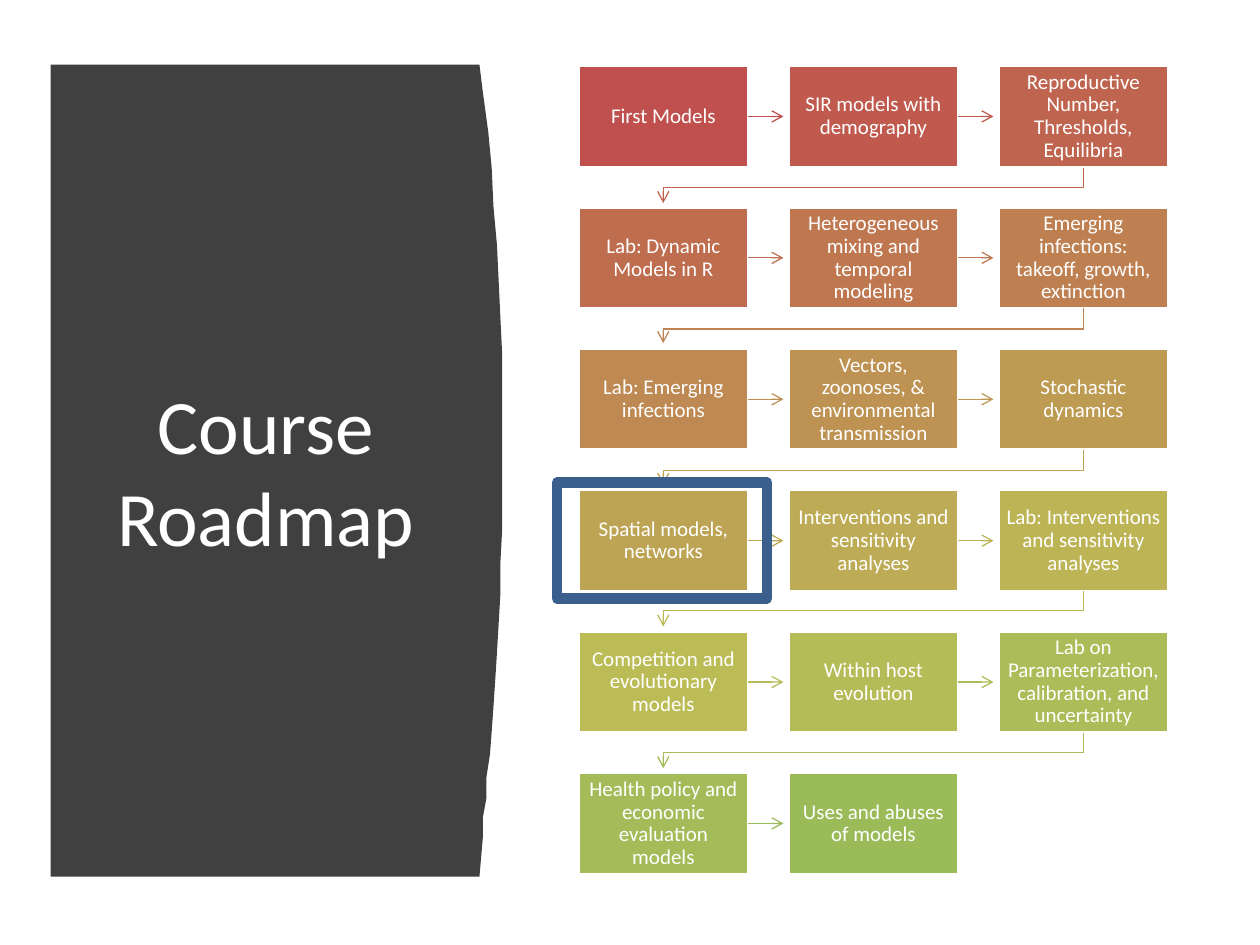
from colorsys import hls_to_rgb, rgb_to_hls

from lxml.etree import SubElement
from pptx import Presentation
from pptx.dml.color import RGBColor
from pptx.enum.shapes import MSO_CONNECTOR, MSO_SHAPE
from pptx.enum.text import MSO_ANCHOR, PP_ALIGN
from pptx.oxml.ns import qn
from pptx.util import Pt

COLORS = {
    "panel": "404040",
    "text": "FFFFFF",
    "first": "C0504D",
    "last": "9BBB59",
    "highlight": "3A5F8C",
}
FONT = "Calibri"
TOPICS = [
    "First Models",
    "SIR models with demography",
    "Reproductive Number, Thresholds, Equilibria",
    "Lab: Dynamic Models in R",
    "Heterogeneous mixing and temporal modeling",
    "Emerging infections: takeoff, growth, extinction",
    "Lab: Emerging infections",
    "Vectors, zoonoses, & environmental transmission",
    "Stochastic dynamics",
    "Spatial models, networks",
    "Interventions and sensitivity analyses",
    "Lab: Interventions and sensitivity analyses",
    "Competition and evolutionary models",
    "Within host evolution",
    "Lab on Parameterization, calibration, and uncertainty",
    "Health policy and economic evaluation models",
    "Uses and abuses of models",
]
COLUMNS = 3
GRID_LEFT, GRID_TOP = 330.5, 37.4
STEP_X, STEP_Y = 120, 80.8
BOX_WIDTH, BOX_HEIGHT = 97.2, 58.3
ARROW_LENGTH, ELBOW_DROP = 20, 11.4
PANEL_OUTLINE = [
    (28.8, 37.4), (274.3, 37.4), (276.5, 53.3), (278.6, 74.9), (280.8, 96.5),
    (282.2, 118.1), (283.7, 139.7), (285.1, 161.3), (286, 182.2),
    (286.7, 203), (287.2, 224), (287.4, 244), (287.4, 283.7), (286.9, 302.4),
    (286.5, 321), (285.8, 339.1), (285.1, 356.4), (284.4, 373), (283.3, 388.8),
    (282.2, 403.9), (281, 418.3), (279.8, 431.3), (278.5, 444.2),
    (277.5, 455.8), (276.5, 466.6), (275.5, 478), (274.3, 501.1), (28.8, 501.1),
]


def rgb(name):
    return RGBColor.from_string(COLORS[name])


def blend(share):
    ends = [rgb_to_hls(*(part / 255 for part in rgb(name))) for name in ("first", "last")]
    mixed = [start + (end - start) * share for start, end in zip(*ends)]
    return RGBColor(*(round(part * 255) for part in hls_to_rgb(*mixed)))


def write(shape, text, size):
    frame = shape.text_frame
    frame.text = text
    frame.word_wrap = True
    frame.vertical_anchor = MSO_ANCHOR.MIDDLE
    para = frame.paragraphs[0]
    para.alignment = PP_ALIGN.CENTER
    span = para.runs[0]
    span.font.name = FONT
    span.font.size = Pt(size)
    span.font.color.rgb = rgb("text")
    return para


def style_arrow(arrow, color):
    arrow.line.color.rgb = color
    arrow.line.width = Pt(0.75)
    SubElement(arrow.line._get_or_add_ln(), qn("a:tailEnd"), type="arrow")


def add_panel(page):
    builder = page.shapes.build_freeform(*PANEL_OUTLINE[0], scale=Pt(1))
    builder.add_line_segments(PANEL_OUTLINE[1:], close=True)
    panel = builder.convert_to_shape()
    panel.shadow.inherit = False
    panel.fill.solid()
    panel.fill.fore_color.rgb = rgb("panel")
    panel.line.fill.background()


def add_title(page):
    title = page.shapes.add_textbox(Pt(51.1), Pt(79.9), Pt(201.6), Pt(377.3))
    write(title, "Course Roadmap", 44)


def add_topic(page, left, top, text, color):
    box = page.shapes.add_shape(
        MSO_SHAPE.RECTANGLE, Pt(left), Pt(top), Pt(BOX_WIDTH), Pt(BOX_HEIGHT)
    )
    box.shadow.inherit = False
    box.fill.solid()
    box.fill.fore_color.rgb = color
    box.line.color.rgb = rgb("text")
    box.line.width = Pt(2)
    frame = box.text_frame
    frame.margin_left = frame.margin_right = Pt(4.5)
    frame.margin_top = frame.margin_bottom = Pt(4.5)
    para = write(box, text, 12)
    para.line_spacing = 0.9
    para.space_after = Pt(4.2)
    return box


def add_side_arrow(page, box, left, top, color):
    start, middle = left + BOX_WIDTH, top + BOX_HEIGHT / 2
    arrow = page.shapes.add_connector(
        MSO_CONNECTOR.STRAIGHT,
        Pt(start), Pt(middle), Pt(start + ARROW_LENGTH), Pt(middle),
    )
    arrow.begin_connect(box, 3)
    style_arrow(arrow, color)
    SubElement(arrow._element.spPr, qn("a:effectLst"))


def add_return_arrow(page, left, top, color):
    start_x, start_y = left + BOX_WIDTH / 2, top + BOX_HEIGHT
    end_x = GRID_LEFT + BOX_WIDTH / 2
    builder = page.shapes.build_freeform(start_x, start_y, scale=Pt(1))
    builder.add_line_segments(
        [
            (start_x, start_y + ELBOW_DROP),
            (end_x, start_y + ELBOW_DROP),
            (end_x, start_y + ARROW_LENGTH),
        ],
        close=False,
    )
    arrow = builder.convert_to_shape()
    arrow.shadow.inherit = False
    arrow.fill.background()
    style_arrow(arrow, color)


def add_roadmap(page):
    last = len(TOPICS) - 1
    for index, text in enumerate(TOPICS):
        row, column = divmod(index, COLUMNS)
        left, top = GRID_LEFT + column * STEP_X, GRID_TOP + row * STEP_Y
        box = add_topic(page, left, top, text, blend(index / last))
        if index == last:
            break
        arrow_color = blend(index / (last - 1))
        if column < COLUMNS - 1:
            add_side_arrow(page, box, left, top, arrow_color)
        else:
            add_return_arrow(page, left, top, arrow_color)


def add_highlight(page):
    marker = page.shapes.add_shape(
        MSO_SHAPE.RECTANGLE, Pt(318.2), Pt(275.8), Pt(120.2), Pt(66.2)
    )
    marker.shadow.inherit = False
    marker.fill.background()
    marker.line.color.rgb = rgb("highlight")
    marker.line.width = Pt(6)


def main():
    deck = Presentation()
    deck.slide_width, deck.slide_height = Pt(720), Pt(540)
    page = deck.slides.add_slide(deck.slide_layouts[6])
    add_panel(page)
    add_title(page)
    add_roadmap(page)
    add_highlight(page)
    deck.save("out.pptx")


if __name__ == "__main__":
    main()
